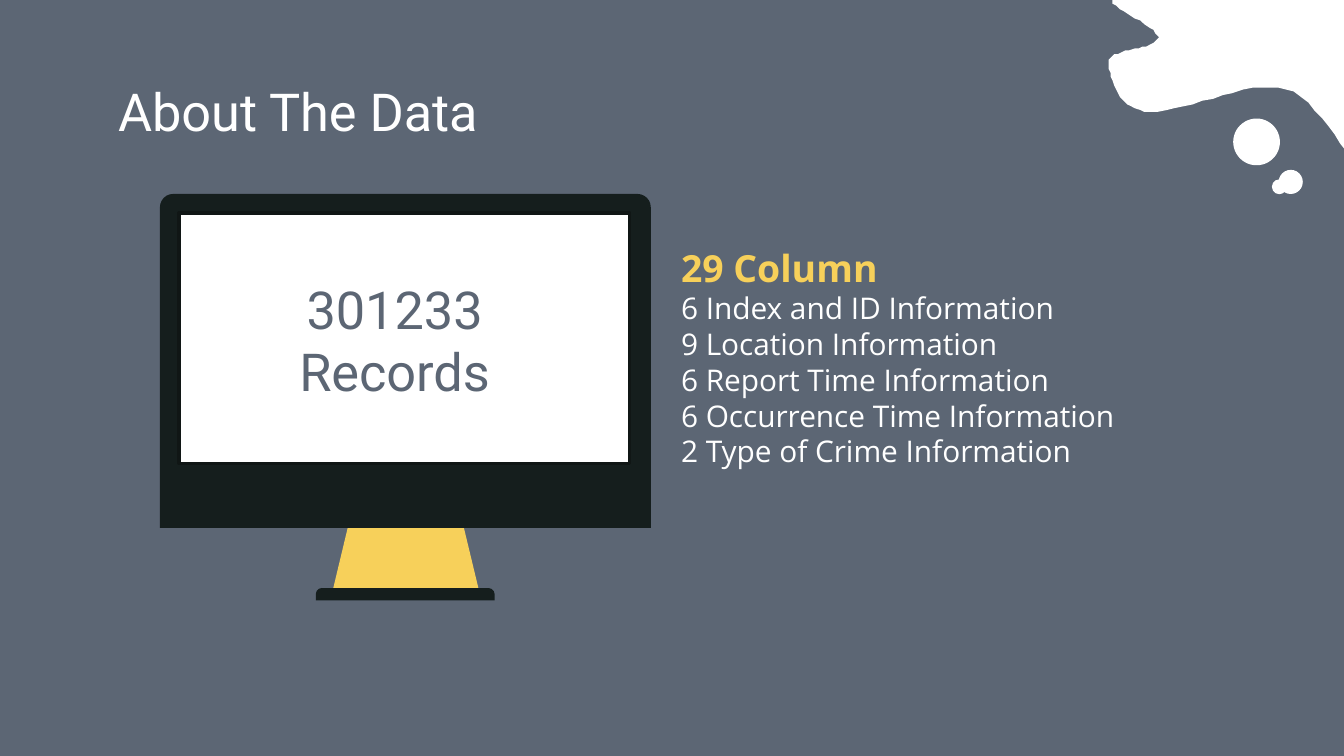
from pptx import Presentation, util as u
from pptx.dml.color import RGBColor
from pptx.enum import shapes, text

SLATE = RGBColor(0x5C, 0x66, 0x74)
WHITE = RGBColor(0xFF, 0xFF, 0xFF)
YELLOW = RGBColor(0xF7, 0xD0, 0x5A)
DARK = RGBColor(0x15, 0x1E, 0x1D)
BEZEL = RGBColor(0x10, 0x16, 0x15)
SHAPE = shapes.MSO_SHAPE
SPLASH_START = (738, 95.8)
SPLASH_CURVES = [
    ((730.1, 103.7), (709.9, 54), (689, 47.5)),
    ((668.9, 41.8), (629.3, 62.6), (613.4, 59.8)),
    ((597.6, 57.6), (593.3, 38.9), (594.4, 32.4)),
    ((595.4, 25.9), (619.9, 26.6), (620.6, 20.2)),
    ((621.4, 14.4), (586.1, 1.4), (597.6, -2.9)),
    ((609.8, -7.9), (669.6, -7.9), (692.6, -7.9)),
    ((715.7, -7.2), (729.4, -19.4), (736.6, -2.2)),
    ((743.8, 15.1), (745.9, 87.1), (738, 95.8)),
]


class SlideBuilder:
    """Draws styled elements on one slide, with all lengths in points."""

    inset = 7.2
    curve_steps = 16

    def __init__(self, slide, background):
        self.slide = slide
        slide.background.fill.solid()
        slide.background.fill.fore_color.rgb = background

    def paint(self, shape, fill, line=None, width=0.75):
        shape.shadow.inherit = False
        shape.fill.solid()
        shape.fill.fore_color.rgb = fill
        if line is None:
            shape.line.fill.background()
        else:
            shape.line.color.rgb = line
            shape.line.width = u.Pt(width)

    def preset(self, kind, box, fill, line=None, width=0.75, adjust=()):
        shape = self.slide.shapes.add_shape(kind, *map(u.Pt, box))
        for index, value in enumerate(adjust):
            shape.adjustments[index] = value
        self.paint(shape, fill, line, width)

    def curved(self, start, curves, fill):
        outline = []
        anchor = start
        for curve in curves:
            for step in range(1, self.curve_steps + 1):
                t = step / self.curve_steps
                weights = ((1 - t) ** 3, 3 * t * (1 - t) ** 2, 3 * t * t * (1 - t), t ** 3)
                outline.append(tuple(
                    sum(w * c for w, c in zip(weights, axis))
                    for axis in zip(anchor, *curve)))
            anchor = curve[-1]
        builder = self.slide.shapes.build_freeform(*start, scale=u.Pt(1))
        builder.add_line_segments(outline, close=True)
        self.paint(builder.convert_to_shape(), fill)

    def label(self, box, lines, font, align=text.PP_ALIGN.LEFT,
              anchor=text.MSO_ANCHOR.TOP, bottom=inset):
        frame = self.slide.shapes.add_textbox(*map(u.Pt, box)).text_frame
        frame.word_wrap = True
        frame.vertical_anchor = anchor
        frame.margin_left = frame.margin_right = frame.margin_top = u.Pt(self.inset)
        frame.margin_bottom = u.Pt(bottom)
        frame.text = "\n".join(line[0] for line in lines)
        for paragraph, (_, size, color, bold) in zip(frame.paragraphs, lines):
            paragraph.alignment = align
            for run in paragraph.runs:
                run.font.name = font
                run.font.size = u.Pt(size)
                run.font.color.rgb = color
                run.font.bold = bold


def main():
    deck = Presentation()
    deck.slide_width, deck.slide_height = u.Pt(720), u.Pt(405)
    page = SlideBuilder(deck.slides.add_slide(deck.slide_layouts[6]), SLATE)

    page.curved(SPLASH_START, SPLASH_CURVES, WHITE)
    for left, top, diameter in ((661, 63.9, 24.3), (685.4, 91.4, 12.2), (681.8, 96.5, 7.2)):
        page.preset(SHAPE.OVAL, (left, top, diameter, diameter), WHITE, WHITE)

    page.label((56.2, 35.3, 607.7, 45.4), [("About The Data", 28, WHITE, False)], "Roboto")

    page.preset(SHAPE.TRAPEZOID, (178.5, 280.8, 77.8, 34.4), YELLOW, adjust=(0.24,))
    page.preset(SHAPE.ROUND_2_SAME_RECTANGLE, (169.2, 315, 95.8, 6.6), DARK, adjust=(0.5, 0))
    page.preset(SHAPE.ROUND_2_SAME_RECTANGLE, (85.7, 103.9, 263, 178.9), DARK, adjust=(0.04, 0))
    page.preset(SHAPE.RECTANGLE, (96.5, 113.8, 241.2, 144.7), DARK)
    page.preset(SHAPE.RECTANGLE, (96, 114, 241.2, 134.4), WHITE, BEZEL, 2)
    page.label((142.6, 141.1, 137.5, 45.4),
               [(line, 28, SLATE, False) for line in ("301233", "Records")],
               "Roboto", text.PP_ALIGN.CENTER)

    column_groups = (
        "6 Index and ID Information",
        "9 Location Information",
        "6 Report Time Information",
        "6 Occurrence Time Information",
        "2 Type of Crime Information",
    )
    page.label((357.8, 101.5, 305.3, 178.6),
               [("29 Column", 20, YELLOW, True)]
               + [(group, 16, WHITE, False) for group in column_groups],
               "Open Sans", anchor=text.MSO_ANCHOR.BOTTOM, bottom=28.9)

    deck.save("out.pptx")


if __name__ == "__main__":
    main()
